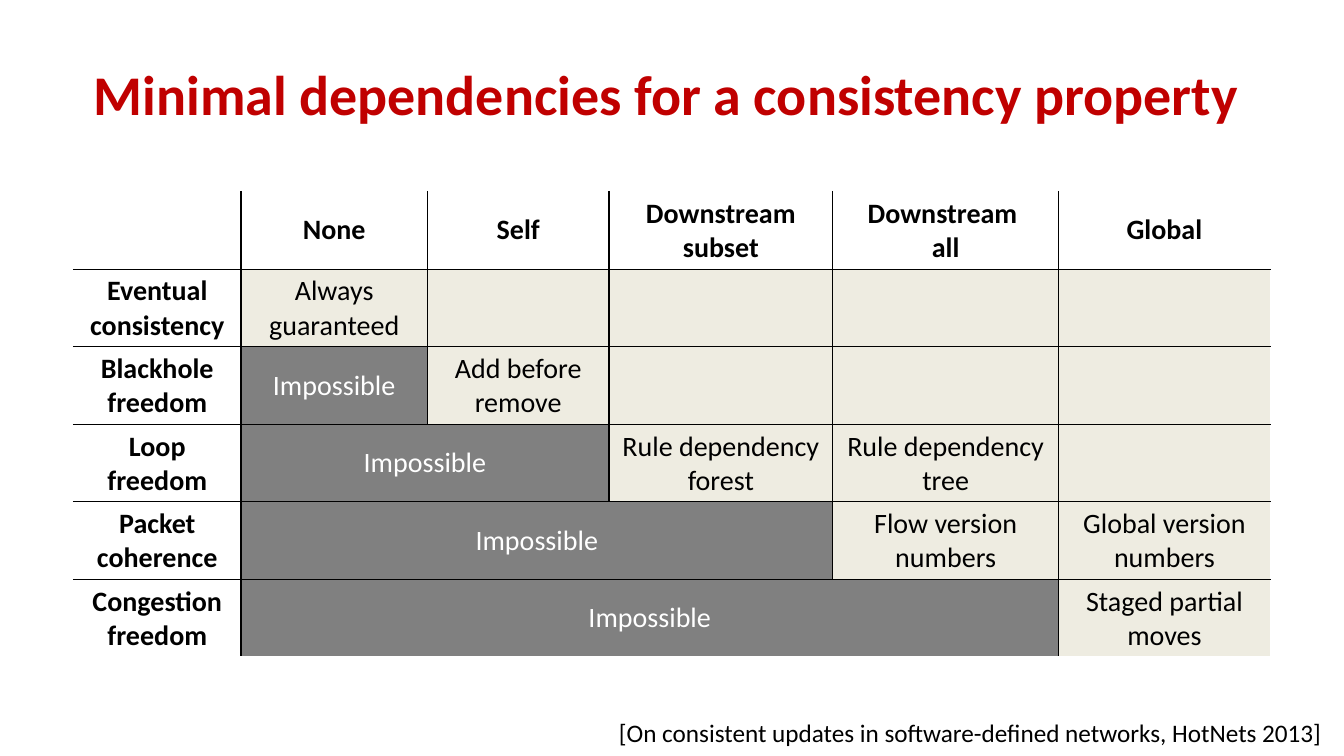
"""Build a slide with a table of minimal dependencies per consistency property."""
from lxml import etree
from pptx import Presentation
from pptx import util as u
from pptx.dml.color import RGBColor
from pptx.enum import text
from pptx.oxml.ns import qn

COLORS = {"title": "C00000", "ink": "000000", "paper": "FFFFFF",
          "possible": "EEECE1", "impossible": "808080"}
CENTER, LEFT = text.PP_ALIGN.CENTER, text.PP_ALIGN.LEFT
MIDDLE, TOP = text.MSO_ANCHOR.MIDDLE, text.MSO_ANCHOR.TOP

DEPENDENCIES = ["", "None", "Self", "Downstream subset", "Downstream \vall", "Global"]
PROPERTIES = [
    ("Eventual consistency", 0, ["Always guaranteed", "", "", "", ""]),
    ("Blackhole freedom", 1, ["Add before remove", "", "", ""]),
    ("Loop freedom", 2, ["Rule dependency forest", "Rule dependency tree", ""]),
    ("Packet coherence", 3, ["Flow version numbers", "Global version numbers"]),
    ("Congestion freedom", 4, ["Staged partial moves"]),
]
COLUMN_WIDTHS = [1.66, 1.85, 1.8, 2.22, 2.24, 2.1]
ROW_HEIGHT = 0.77


class SlideBuilder:
    def __init__(self, slide, font="Calibri"):
        self.slide = slide
        self.font = font

    def fill_text(self, frame, words, size, color="ink", bold=False, align=CENTER):
        paragraph = frame.paragraphs[0]
        paragraph.text = words
        paragraph.alignment = align
        style = {"name": self.font, "size": u.Pt(size), "bold": bold}
        for run in paragraph.runs:
            for key, value in style.items():
                setattr(run.font, key, value)
            run.font.color.rgb = RGBColor.from_string(COLORS[color])

    def label(self, words, place, size, anchor=TOP, **style):
        frame = self.slide.shapes.add_textbox(*map(u.Inches, place)).text_frame
        frame.word_wrap = True
        frame.vertical_anchor = anchor
        self.fill_text(frame, words, size, **style)

    def borders(self, cell, outer):
        properties = cell._tc.get_or_add_tcPr()
        for position, side in enumerate("LRTB"):
            line = etree.Element(qn(f"a:ln{side}"), w=str(u.Pt(1)))
            fill = etree.SubElement(line, qn("a:solidFill"))
            color = COLORS["paper" if side in outer else "ink"]
            etree.SubElement(fill, qn("a:srgbClr"), val=color)
            properties.insert(position, line)

    def cell(self, cell, words, fill, **style):
        cell.fill.solid()
        cell.fill.fore_color.rgb = RGBColor.from_string(COLORS[fill])
        cell.vertical_anchor = MIDDLE
        if words:
            self.fill_text(cell.text_frame, words, 20, **style)

    def table(self, left, top):
        rows, columns = len(PROPERTIES) + 1, len(DEPENDENCIES)
        grid = self.slide.shapes.add_table(
            rows, columns, u.Inches(left), u.Inches(top),
            u.Inches(sum(COLUMN_WIDTHS)), u.Inches(ROW_HEIGHT * rows)).table
        grid.first_row = grid.horz_banding = False
        for column, width in zip(grid.columns, COLUMN_WIDTHS):
            column.width = u.Inches(width)
        for row in grid.rows:
            row.height = u.Inches(ROW_HEIGHT)

        for c, dependency in enumerate(DEPENDENCIES):
            self.cell(grid.cell(0, c), dependency, "paper", bold=True)
        for r, (consistency, blocked, methods) in enumerate(PROPERTIES, 1):
            self.cell(grid.cell(r, 0), consistency, "paper", bold=True)
            for c in range(1, blocked + 1):
                self.cell(grid.cell(r, c), "Impossible" if c == 1 else "",
                          "impossible", color="paper")
            if blocked > 1:
                grid.cell(r, 1).merge(grid.cell(r, blocked))
            for c, method in enumerate(methods, blocked + 1):
                self.cell(grid.cell(r, c), method, "possible")

        for r in range(rows):
            for c in range(columns):
                edges = {"L": c == 0, "R": c == columns - 1,
                         "T": r == 0, "B": r == rows - 1}
                self.borders(grid.cell(r, c), [side for side in edges if edges[side]])


def main():
    deck = Presentation()
    deck.slide_width, deck.slide_height = u.Inches(13.33), u.Inches(7.5)
    builder = SlideBuilder(deck.slides.add_slide(deck.slide_layouts[6]))
    builder.label("Minimal dependencies for a consistency property",
                  (0.2, 0.3, 12.81, 1.25), 40, MIDDLE, color="title", bold=True)
    builder.label("[On consistent updates in software-defined networks, HotNets 2013]",
                  (6.04, 7.07, 7.49, 0.4), 18, align=LEFT)
    builder.table(0.73, 1.9)
    deck.save("out.pptx")


if __name__ == "__main__":
    main()
